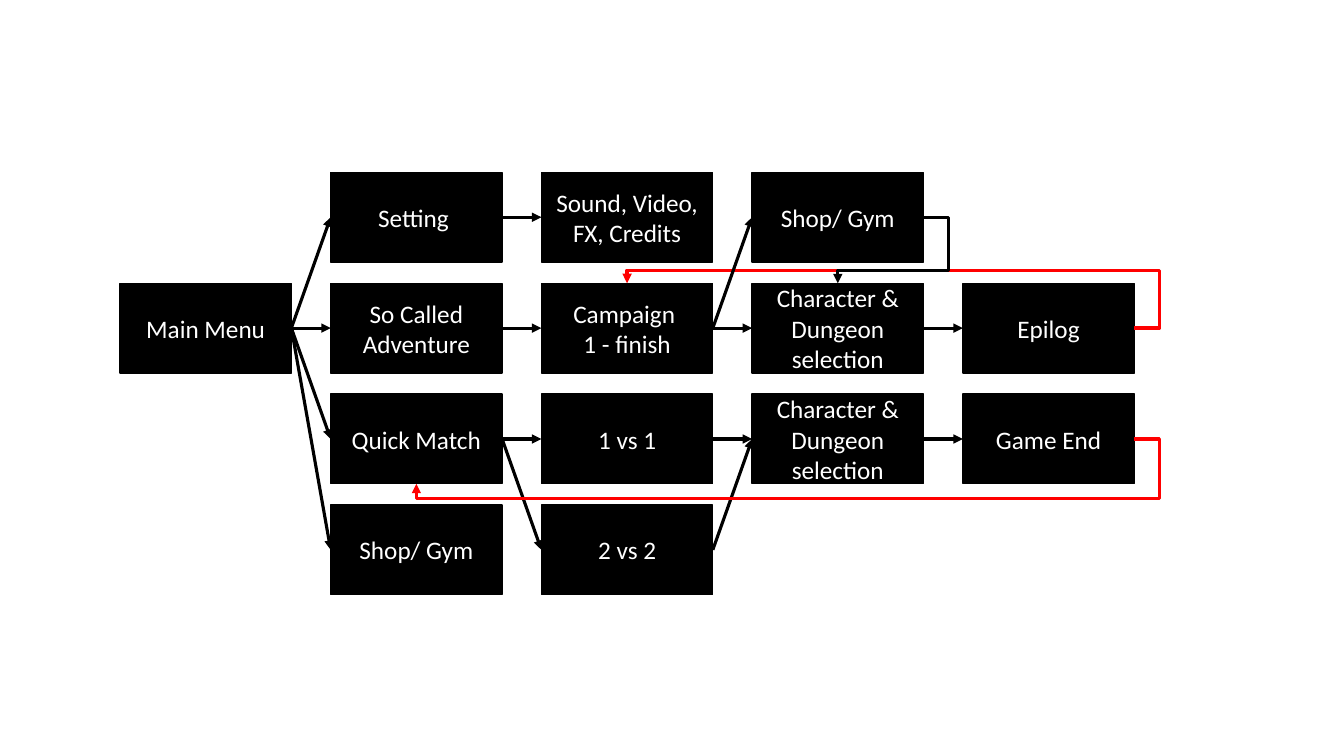
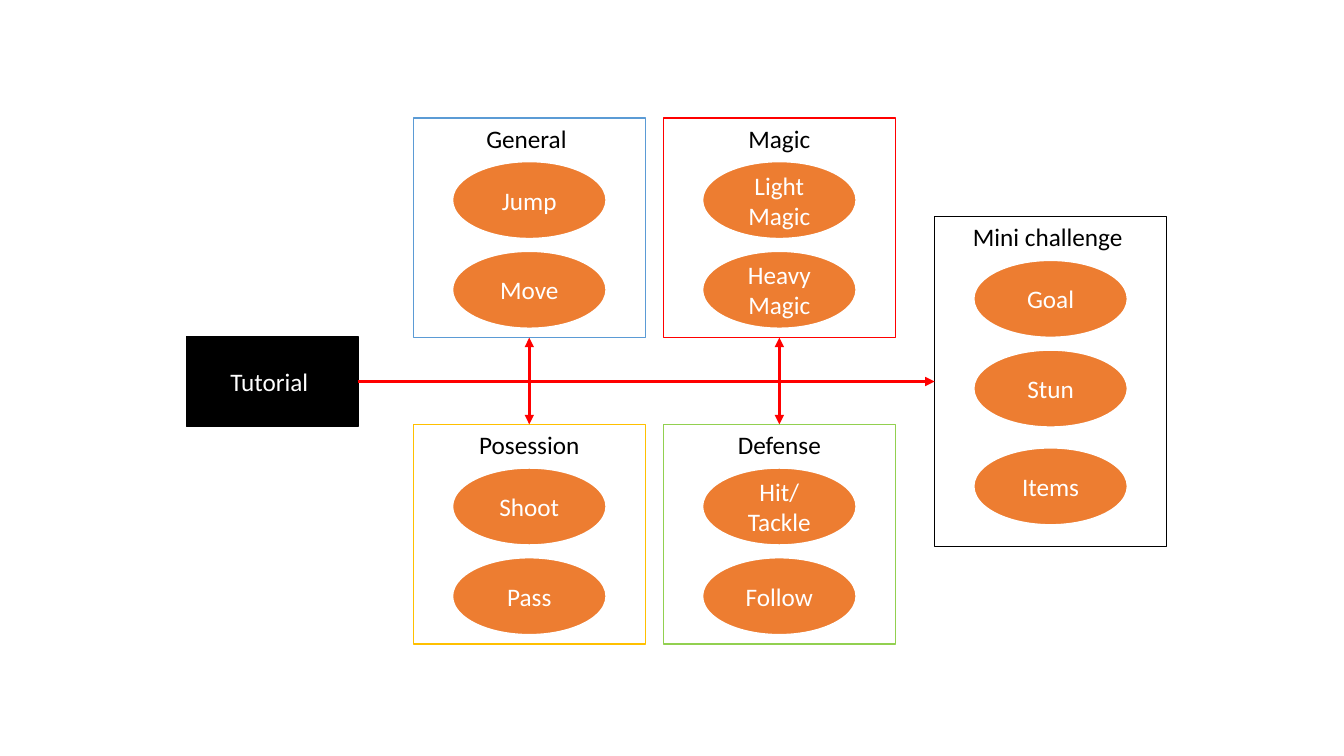
from lxml.etree import SubElement
from pptx import Presentation
from pptx.dml.color import RGBColor
from pptx.enum.shapes import MSO_CONNECTOR, MSO_SHAPE
from pptx.enum.text import MSO_ANCHOR, PP_ALIGN
from pptx.oxml.ns import qn
from pptx.util import Inches, Pt

BLACK = RGBColor(0x00, 0x00, 0x00)
WHITE = RGBColor(0xFF, 0xFF, 0xFF)
RED = RGBColor(0xFF, 0x00, 0x00)
ORANGE = RGBColor(0xED, 0x7D, 0x31)
GOLD = RGBColor(0xFF, 0xC0, 0x00)
BLUE = RGBColor(0x5B, 0x9B, 0xD5)
GREEN = RGBColor(0x92, 0xD0, 0x50)

FONT_FORMAT = {"name": "Calibri", "size": Pt(18), "bold": False}
TOP, LEFT, BOTTOM, RIGHT = range(4)
BOX_SIZE = (1.7, 0.89)
OVAL_SIZE = (1.53, 0.77)
PANEL_WIDTH = 2.3
OVAL_OFFSETS = (0.43, 1.32, 2.29)
GRID_LEFT, GRID_TOP = 1.19, 1.71
COLUMN_STEP, ROW_STEP = 2.09, 1.1
OVERHANG = Inches(0.25)
UPPER_LANE, LOWER_LANE = 2.68, 4.95

SCREENS = {
    "main": ("Main Menu", 0, 1),
    "setting": ("Setting ", 1, 0),
    "adventure": ("So Called Adventure", 1, 1),
    "quick": ("Quick Match", 1, 2),
    "menu shop": ("Shop/ Gym", 1, 3),
    "options": ("Sound, Video, FX, Credits", 2, 0),
    "campaign": ("Campaign \n1 - finish", 2, 1),
    "single": ("1 vs 1", 2, 2),
    "double": ("2 vs 2", 2, 3),
    "campaign shop": ("Shop/ Gym", 3, 0),
    "campaign selection": ("Character & Dungeon selection", 3, 1),
    "match selection": ("Character & Dungeon selection", 3, 2),
    "epilog": ("Epilog", 4, 1),
    "game end": ("Game End", 4, 2),
}

STEPS = [
    ("main", "setting"),
    ("main", "adventure"),
    ("main", "quick"),
    ("main", "menu shop"),
    ("setting", "options"),
    ("adventure", "campaign"),
    ("quick", "single"),
    ("quick", "double"),
    ("campaign", "campaign selection"),
    ("single", "match selection"),
    ("double", "match selection"),
    ("campaign selection", "epilog"),
    ("match selection", "game end"),
]

PANELS = [
    ("Posession", 4.1, 4.21, 2.18, GOLD, TOP, ("Shoot", "Pass")),
    ("General ", 4.1, 1.17, 2.18, BLUE, BOTTOM, ("Jump", "Move")),
    ("Magic", 6.58, 1.17, 2.18, RED, BOTTOM, ("Light Magic", "Heavy Magic")),
    ("Defense", 6.58, 4.21, 2.18, GREEN, TOP, ("Hit/ Tackle", "Follow")),
    ("Mini challenge ", 9.27, 2.15, 3.27, BLACK, LEFT, ("Goal", "Stun", "Items")),
]


def set_format(target, values):
    for name, value in values.items():
        setattr(target, name, value)


def add_labelled_shape(slide, kind, label, place, fill, line, line_width=1,
                       color=WHITE, anchor=MSO_ANCHOR.MIDDLE):
    shape = slide.shapes.add_shape(kind, *map(Inches, place))
    shape.shadow.inherit = False
    shape.fill.solid()
    shape.fill.fore_color.rgb = fill
    shape.line.color.rgb = line
    shape.line.width = Pt(line_width)
    frame = shape.text_frame
    set_format(frame, {"text": label, "word_wrap": True, "vertical_anchor": anchor})
    for paragraph in frame.paragraphs:
        paragraph.alignment = PP_ALIGN.CENTER
        set_format(paragraph.runs[0].font, FONT_FORMAT)
        paragraph.runs[0].font.color.rgb = color
    return shape


def add_box(slide, label, left, top):
    return add_labelled_shape(slide, MSO_SHAPE.RECTANGLE, label,
                              (left, top, *BOX_SIZE), BLACK, BLACK)


def add_panel(slide, title, left, top, height, color, ovals):
    panel = add_labelled_shape(slide, MSO_SHAPE.RECTANGLE, title,
                               (left, top, PANEL_WIDTH, height), WHITE, color,
                               color=BLACK, anchor=MSO_ANCHOR.TOP)
    oval_left = left + (PANEL_WIDTH - OVAL_SIZE[0]) / 2
    for label, offset in zip(ovals, OVAL_OFFSETS):
        add_labelled_shape(slide, MSO_SHAPE.OVAL, label,
                           (oval_left, top + offset, *OVAL_SIZE), ORANGE, WHITE, 1.5)
    return panel


def add_arrow(slide, start, end, end_side=LEFT, color=BLACK, kind=MSO_CONNECTOR.STRAIGHT):
    arrow = slide.shapes.add_connector(kind, 0, 0, 0, 0)
    arrow.begin_connect(start, RIGHT)
    arrow.end_connect(end, end_side)
    arrow.line.color.rgb = color
    arrow.line.width = Pt(2.25)
    SubElement(arrow.line._get_or_add_ln(), qn("a:tailEnd"), type="triangle")
    SubElement(arrow._element.spPr, qn("a:effectLst"))
    return arrow


def add_bent_arrow(slide, start, end, end_side, color, lane=None):
    arrow = add_arrow(slide, start, end, end_side, color, MSO_CONNECTOR.ELBOW)
    geometry = arrow._element.spPr.find(qn("a:prstGeom"))
    if lane is None:
        geometry.set("prst", "bentConnector2")
        return
    geometry.set("prst", "bentConnector4")
    shares = {
        "adj1": OVERHANG / (arrow.end_x - arrow.begin_x),
        "adj2": (Inches(lane) - arrow.begin_y) / (arrow.end_y - arrow.begin_y),
    }
    guides = geometry.find(qn("a:avLst"))
    for name, share in shares.items():
        SubElement(guides, qn("a:gd"), name=name, fmla=f"val {round(share * 100000)}")


def build_game_flow(slide):
    boxes = {
        name: add_box(slide, label, GRID_LEFT + column * COLUMN_STEP, GRID_TOP + row * ROW_STEP)
        for name, (label, column, row) in SCREENS.items()
    }
    for start, end in STEPS:
        add_arrow(slide, boxes[start], boxes[end])
    add_bent_arrow(slide, boxes["epilog"], boxes["campaign"], TOP, RED, UPPER_LANE)
    add_bent_arrow(slide, boxes["game end"], boxes["quick"], BOTTOM, RED, LOWER_LANE)
    add_arrow(slide, boxes["campaign"], boxes["campaign shop"])
    add_bent_arrow(slide, boxes["campaign shop"], boxes["campaign selection"],
                   TOP, BLACK, UPPER_LANE)


def build_tutorial(slide):
    tutorial = add_box(slide, "Tutorial ", 1.85, 3.34)
    for title, left, top, height, color, side, ovals in PANELS:
        panel = add_panel(slide, title, left, top, height, color, ovals)
        if side == LEFT:
            add_arrow(slide, tutorial, panel, side, RED)
        else:
            add_bent_arrow(slide, tutorial, panel, side, RED)


def main():
    presentation = Presentation()
    set_format(presentation, {"slide_width": Inches(13.33), "slide_height": Inches(7.5)})
    for build in (build_game_flow, build_tutorial):
        build(presentation.slides.add_slide(presentation.slide_layouts[6]))
    presentation.save("out.pptx")


main()
